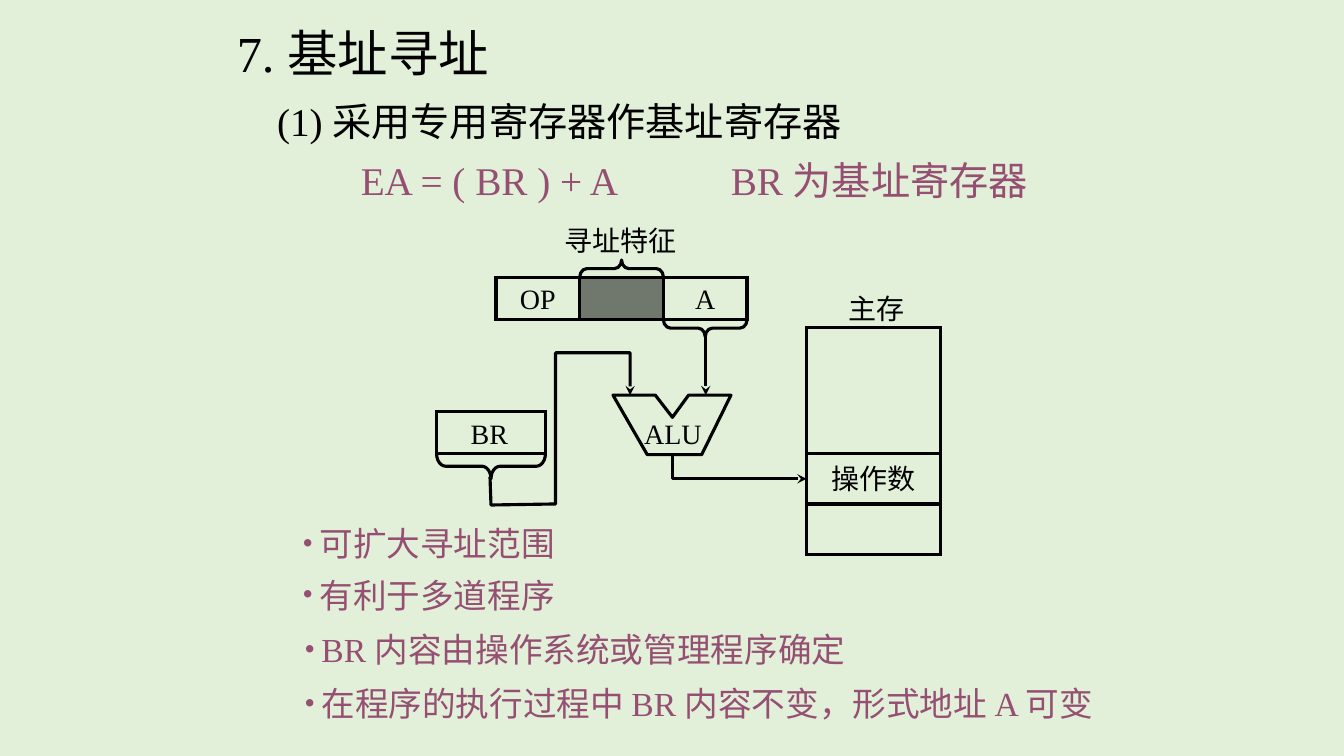
from lxml.etree import SubElement
from pptx import Presentation
from pptx.dml.color import RGBColor
from pptx.enum.shapes import MSO_CONNECTOR, MSO_SHAPE
from pptx.enum.text import MSO_ANCHOR, MSO_AUTO_SIZE, PP_ALIGN
from pptx.oxml.ns import qn
from pptx.util import Pt

PX = 9144  # 100 px to the inch
FONT = "Times New Roman"
BLACK, PLUM, PALE_GREEN = "000000", "954F72", "E2F0D9"


def emu(*lengths):
    return [round(length * PX) for length in lengths]


def color(hex_code):
    return RGBColor.from_string(hex_code)


def set_all(target, values):
    for name, value in values.items():
        setattr(target, name, value)


def write(shape, words, size, hex_code=BLACK):
    paragraph = shape.text_frame.paragraphs[0]
    run = paragraph.add_run()
    run.text = words
    set_all(run.font, {"name": FONT, "size": Pt(size)})
    run.font.color.rgb = color(hex_code)
    return paragraph


def add_text(slide, box, words, size, hex_code=BLACK, wrap=False):
    label = slide.shapes.add_textbox(*emu(*box))
    set_all(label.text_frame, {"word_wrap": wrap,
                               "auto_size": MSO_AUTO_SIZE.SHAPE_TO_FIT_TEXT})
    return write(label, words, size, hex_code)


def outline(shape, join="round", arrow=False):
    shape.line.color.rgb = color(BLACK)
    shape.line.width = Pt(2.25)
    ln = shape.line._get_or_add_ln()
    SubElement(ln, qn(f"a:{join}"))
    if arrow:
        SubElement(ln, qn("a:tailEnd"), type="stealth")


def add_cell(slide, box, words=None, shaded=False):
    cell = slide.shapes.add_shape(MSO_SHAPE.RECTANGLE, *emu(*box))
    cell.shadow.inherit = False
    if shaded:
        cell.fill.solid()
        cell.fill.fore_color.rgb = color(BLACK)
        rgb = cell.fill._xPr.find(qn("a:solidFill"))[0]
        SubElement(rgb, qn("a:alpha"), val="50000")
    else:
        cell.fill.background()
    outline(cell, join="miter")
    if words:
        set_all(cell.text_frame, {"word_wrap": False,
                                  "vertical_anchor": MSO_ANCHOR.MIDDLE})
        write(cell, words, 20).alignment = PP_ALIGN.CENTER


def add_brace(slide, box, rotation, curl):
    """Turn a left brace so that it fills the given wide box."""
    x, y, w, h = box
    shift = (w - h) / 2
    brace = slide.shapes.add_shape(
        MSO_SHAPE.LEFT_BRACE, *emu(x + shift, y - shift, h, w))
    brace.shadow.inherit = False
    brace.rotation = rotation
    brace.adjustments[0] = curl
    brace.fill.background()
    outline(brace)


def add_path(slide, points, closed=False):
    builder = slide.shapes.build_freeform(*points[0], scale=PX)
    builder.add_line_segments(points[1:], close=closed)
    path = builder.convert_to_shape()
    path.shadow.inherit = False
    path.fill.background()
    outline(path, arrow=not closed)


def heading(slide, x, y):
    add_text(slide, (x, y, 371, 70), "7. 基址寻址", 36, wrap=True)
    add_text(slide, (x + 40, y + 75, 693, 57),
             "(1) 采用专用寄存器作基址寄存器", 28, wrap=True)
    add_text(slide, (x + 123, y + 133, 285, 57), "EA = ( BR ) + A", 28, PLUM)
    add_text(slide, (x + 490, y + 133, 327, 57), "BR 为基址寄存器", 28, PLUM, wrap=True)


def instruction(slide, x, y, field_w, h):
    for column, (words, shaded) in enumerate(
            [("OP", False), (None, True), ("A", False)]):
        add_cell(slide, (x + column * field_w, y, field_w, h), words, shaded)
    # Addressing mode above, address field below
    add_brace(slide, (x + field_w, y - 17, field_w, 17), 90, 0.417)
    add_text(slide, (x + 58, y - 58, 132, 43), "寻址特征", 20)
    add_brace(slide, (x + 2 * field_w, y + h, field_w, 17), 270, 0.417)


def main_memory(slide, x, y, w):
    add_text(slide, (x + 32, y - 41, 76, 43), "主存", 20)
    for h, words in [(125, None), (50, "操作数"), (50, None)]:
        add_cell(slide, (x, y, w, h), words)
        y += h


def alu(slide, x, y):
    corners = [(0, 0), (42, 0), (59, 22), (75, 0), (117, 0), (88, 59), (34, 59)]
    add_path(slide, [(x + dx, y + dy) for dx, dy in corners], closed=True)
    add_text(slide, (x + 21, y + 16, 79, 43), "ALU", 20)


def base_register(slide, x, y, w, h):
    add_cell(slide, (x, y, w, h))
    add_text(slide, (x + 24, y, 59, 43), "BR", 20)
    add_brace(slide, (x, y + h, w, 25), 270, 0.361)


def data_flow(slide):
    # Base register to ALU
    add_path(slide, [(486, 473), (487, 501), (551, 500),
                     (551, 350), (625, 350), (625, 392)])
    # Address field to ALU
    address = slide.shapes.add_connector(
        MSO_CONNECTOR.STRAIGHT, *emu(700, 333, 700, 392))
    outline(address, arrow=True)
    SubElement(address._element.spPr, qn("a:effectLst"))
    # ALU to operand
    add_path(slide, [(667, 450), (667, 475), (800, 475)])


def advantages(slide, x, y):
    points = [
        (0, 0, 273, 50, "可扩大寻址范围", 1),
        (0, 51, 369, 50, "有利于多道程序", 1),
        (2, 99, 808, 54, "BR 内容由操作系统或管理程序确定", 1.15),
        (2, 153, 900, 54, "在程序的执行过程中 BR 内容不变，形式地址 A 可变", 1.15),
    ]
    hang = emu(17)[0]
    for dx, dy, w, h, words, spacing in points:
        point = add_text(slide, (x + dx, y + dy, w, h), words, 24, PLUM, wrap=True)
        point.line_spacing = spacing
        properties = point._p.get_or_add_pPr()
        properties.set("marL", str(hang))
        properties.set("indent", str(-hang))
        SubElement(properties, qn("a:buSzPct"), val="92000")
        SubElement(properties, qn("a:buFont"), typeface=FONT)
        SubElement(properties, qn("a:buChar"), char="•")


def main():
    deck = Presentation()
    deck.slide_width, deck.slide_height = emu(1333, 750)
    slide = deck.slides.add_slide(deck.slide_layouts[6])
    slide.background.fill.solid()
    slide.background.fill.fore_color.rgb = color(PALE_GREEN)

    heading(slide, 225, 17)
    instruction(slide, 492, 275, 83, 42)
    main_memory(slide, 800, 325, 133)
    alu(slide, 608, 392)
    base_register(slide, 433, 408, 108, 42)
    data_flow(slide)
    advantages(slide, 290, 514)
    deck.save("out.pptx")


if __name__ == "__main__":
    main()
